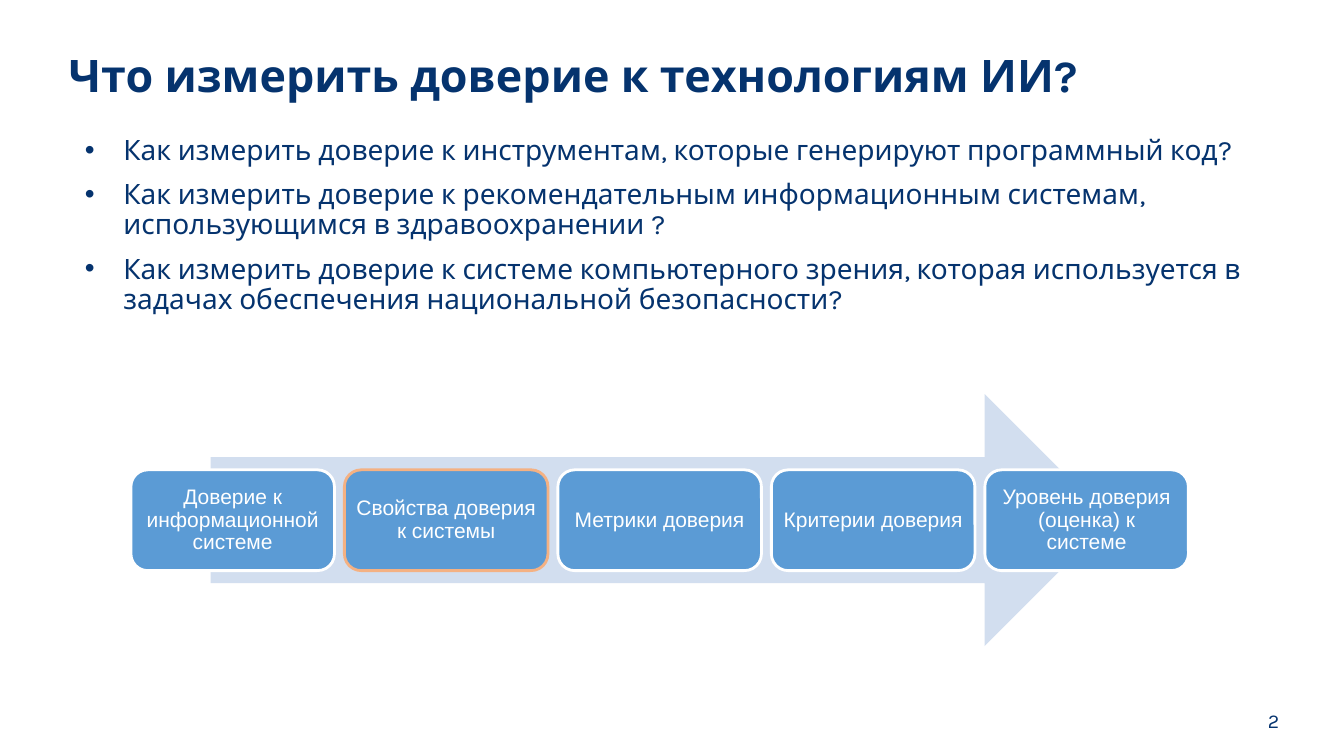
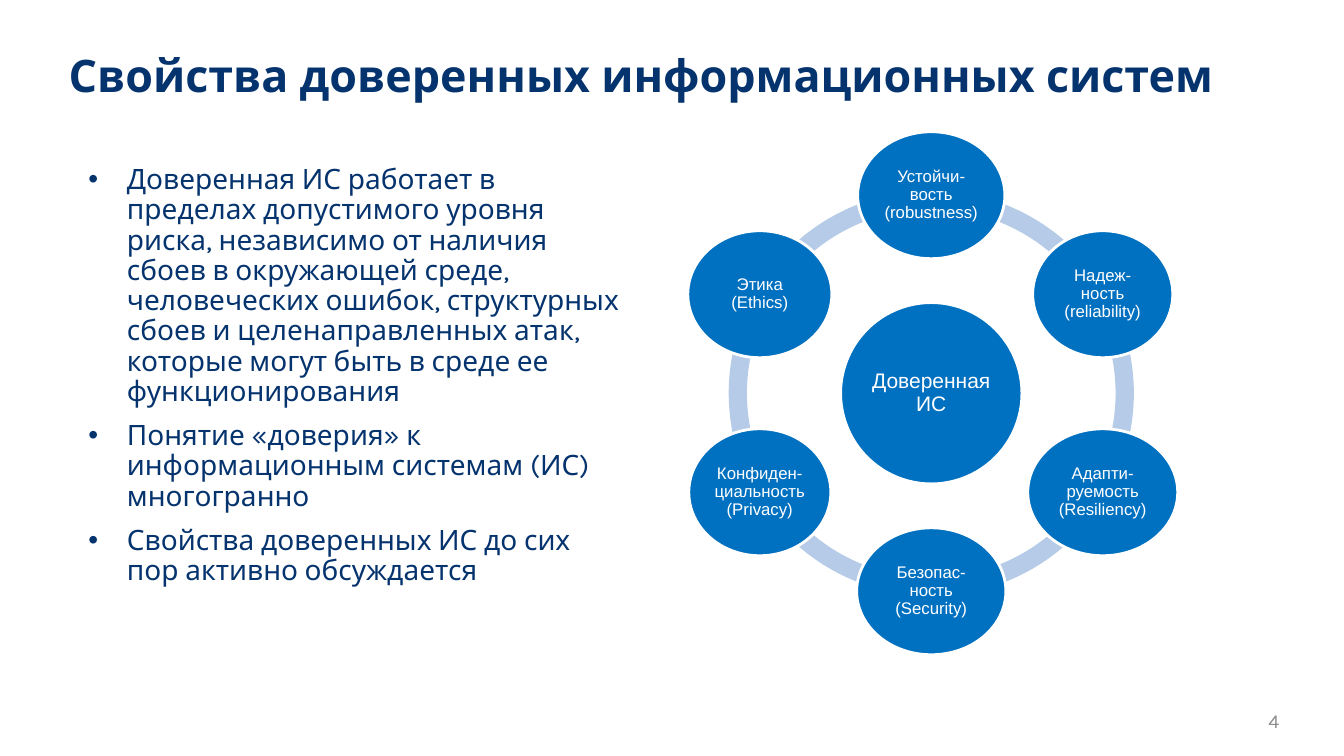
import math
from dataclasses import dataclass

from lxml import etree
from pptx import Presentation
from pptx.dml.color import RGBColor
from pptx.enum import shapes, text
from pptx.oxml import ns
from pptx.util import Cm, Pt


@dataclass(frozen=True)
class Theme:
    navy: str = "05336E"
    gray: str = "8C8C8C"
    white: str = "FFFFFF"
    arrow: str = "D2DEEF"
    step: str = "5B9BD5"
    highlight: str = "F4B183"
    ring: str = "B5CBE7"
    circle: str = "0070C0"
    font: str = "Karla"
    diagram_font: str = "Arial"
    title_size: int = 32
    body_size: int = 20
    number_size: int = 14
    label_size: int = 15
    small_label_size: int = 12
    line_width: int = 2


theme = Theme()


def write(shape, lines, size, color=theme.navy, font=theme.font, bold=False,
          align=text.PP_ALIGN.LEFT, anchor=text.MSO_ANCHOR.TOP,
          insets=(0.1, 0.1, 0, 0.1), bullets=False):
    """Fill a shape with paragraphs; insets are left, top, right, bottom in cm."""
    frame = shape.text_frame
    frame.word_wrap = True
    frame.vertical_anchor = anchor
    (frame.margin_left, frame.margin_top,
     frame.margin_right, frame.margin_bottom) = map(Cm, insets)
    for index, line in enumerate(lines):
        paragraph = frame.paragraphs[0] if index == 0 else frame.add_paragraph()
        if bullets:
            properties = paragraph._p.get_or_add_pPr()
            properties.set("marL", str(Cm(1.45)))
            properties.set("indent", str(Cm(-0.97)))
            bullet_color = etree.SubElement(properties, ns.qn("a:buClr"))
            etree.SubElement(bullet_color, ns.qn("a:srgbClr"), val=color)
            etree.SubElement(properties, ns.qn("a:buFont"), typeface="Arial")
            etree.SubElement(properties, ns.qn("a:buChar"), char="•")
        paragraph.alignment = align
        paragraph.line_spacing = 0.9
        if index:
            paragraph.space_before = Pt(10)
        run = paragraph.add_run()
        run.text = line
        run.font.name = font
        run.font.size = Pt(size)
        run.font.bold = bold
        run.font.color.rgb = RGBColor.from_string(color)


def add_figure(slide, kind, left, top, width, height, fill, outline=None,
               label=None, size=theme.label_size, inset=0.15):
    """Draw a filled shape, placed in cm, with an optional centred label."""
    shape = slide.shapes.add_shape(kind, Cm(left), Cm(top), Cm(width), Cm(height))
    shape.shadow.inherit = False
    shape.fill.solid()
    shape.fill.fore_color.rgb = RGBColor.from_string(fill)
    if outline:
        shape.line.color.rgb = RGBColor.from_string(outline)
        shape.line.width = Pt(theme.line_width)
    else:
        shape.line.fill.background()
    if label:
        write(shape, [label], size, theme.white, theme.diagram_font,
              align=text.PP_ALIGN.CENTER, anchor=text.MSO_ANCHOR.MIDDLE,
              insets=(inset,) * 4)
    return shape


presentation = Presentation()
presentation.slide_width = Cm(33.87)
presentation.slide_height = Cm(19.05)

# Title, bullets and page number of every slide
pages = [
    ("Что измерить доверие к технологиям ИИ?", "2", theme.navy,
     (1.63, 3.33, 30.61, 13.2), (0.03, 0.1, 0, 0.1),
     ["Как измерить доверие к инструментам, которые генерируют программный код?",
      "Как измерить доверие к рекомендательным информационным системам, "
      "использующимся в здравоохранении ?",
      "Как измерить доверие к системе компьютерного зрения, которая используется "
      "в задачах обеспечения национальной безопасности?"]),
    ("Свойства доверенных информационных систем", "4", theme.gray,
     (1.5, 4.04, 14.58, 9.42), (0.25, 0.13, 0.25, 0.13),
     ["Доверенная ИС работает в пределах допустимого уровня риска, независимо от "
      "наличия сбоев в окружающей среде, человеческих ошибок, структурных сбоев и "
      "целенаправленных атак, которые могут быть в среде ее функционирования",
      "Понятие «доверия» к информационным системам (ИС) многогранно",
      "Свойства доверенных ИС до сих пор активно обсуждается"]),
]
for title, number, number_color, body_place, body_insets, bullets in pages:
    slide = presentation.slides.add_slide(presentation.slide_layouts[6])
    title_box = slide.shapes.add_textbox(Cm(1.63), Cm(0.94), Cm(30.61), Cm(2.03))
    write(title_box, [title], theme.title_size, bold=True,
          anchor=text.MSO_ANCHOR.MIDDLE)
    body_box = slide.shapes.add_textbox(*map(Cm, body_place))
    write(body_box, bullets, theme.body_size, insets=body_insets, bullets=True)
    number_box = slide.shapes.add_textbox(Cm(30.99), Cm(17.8), Cm(1.25), Cm(0.94))
    write(number_box, [number], theme.number_size, number_color,
          align=text.PP_ALIGN.RIGHT, insets=(0, 0.13, 0, 0.13))

process_slide, properties_slide = presentation.slides

# Process: five steps on a wide arrow
add_figure(process_slide, shapes.MSO_SHAPE.RIGHT_ARROW,
           5.31, 9.93, 22.68, 6.35, theme.arrow)
steps = [
    ("Доверие к информационной системе", theme.white),
    ("Свойства доверия к системы", theme.highlight),
    ("Метрики доверия", theme.white),
    ("Критерии доверия", theme.white),
    ("Уровень доверия (оценка) к системе", theme.white),
]
step_width, step_gap = 5.13, 0.25
for index, (label, outline) in enumerate(steps):
    add_figure(process_slide, shapes.MSO_SHAPE.ROUNDED_RECTANGLE,
               3.3 + index * (step_width + step_gap), 11.84, step_width, 2.54,
               theme.step, outline, label)

# Properties: circles spaced evenly on a ring, clockwise from the top
center_x, center_y, radius = 23.47, 9.91, 4.99
ring_size, hub_size, circle_height = 10.21, 4.57, 3.2
ring = add_figure(properties_slide, shapes.MSO_SHAPE.DONUT,
                  center_x - ring_size / 2, center_y - ring_size / 2,
                  ring_size, ring_size, theme.ring)
ring.adjustments[0] = 0.045
add_figure(properties_slide, shapes.MSO_SHAPE.OVAL,
           center_x - hub_size / 2, center_y - hub_size / 2, hub_size, hub_size,
           theme.circle, theme.white, "Доверенная ИС", inset=0.05)
circles = [
    ("Устойчи-вость (robustness)", 3.71),
    ("Надеж-ность (reliability)", 3.53),
    ("Адапти-руемость (Resiliency)", 3.78),
    ("Безопас-ность (Security)", 3.76),
    ("Конфиден-циальность (Privacy)", 3.58),
    ("Этика (Ethics)", 3.63),
]
for index, (label, width) in enumerate(circles):
    angle = math.tau * index / len(circles)
    add_figure(properties_slide, shapes.MSO_SHAPE.OVAL,
               center_x + radius * math.sin(angle) - width / 2,
               center_y - radius * math.cos(angle) - circle_height / 2,
               width, circle_height, theme.circle, theme.white,
               label, theme.small_label_size, inset=0.05)

presentation.save("out.pptx")
